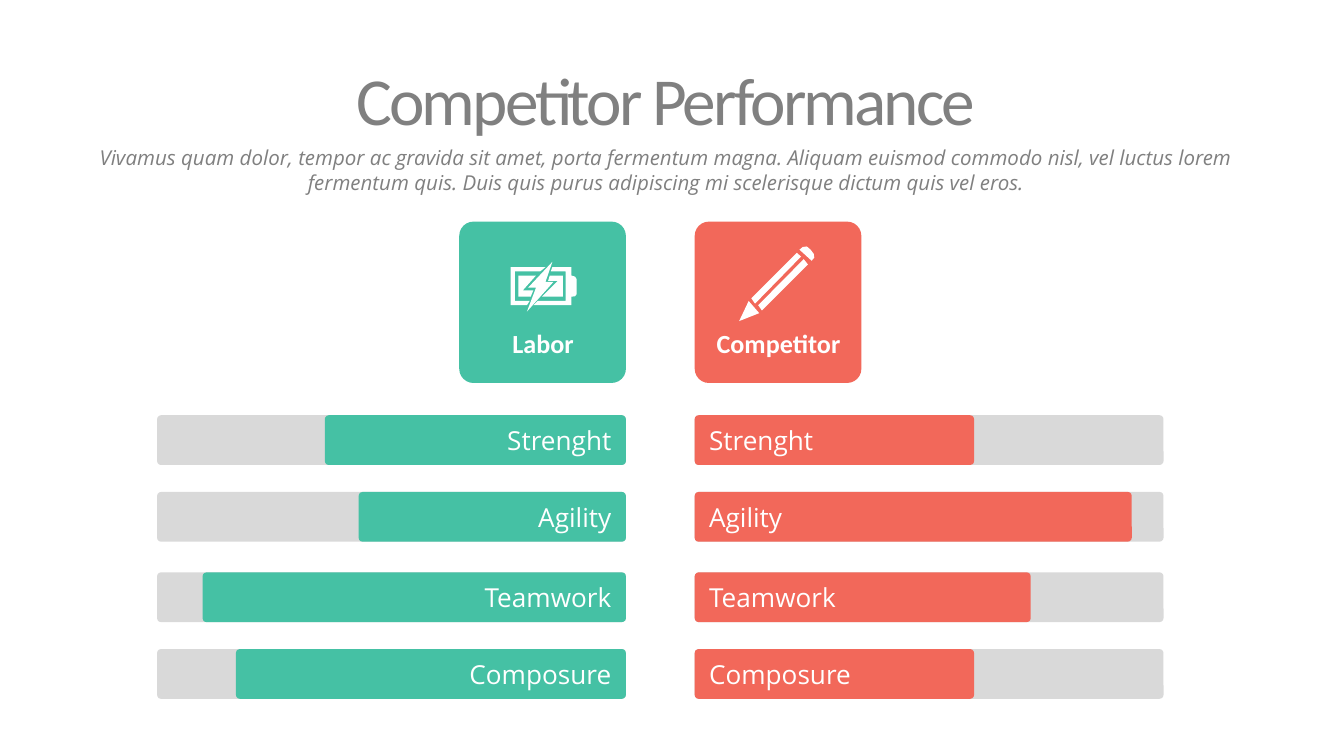
import pptx
import pptx.util
import pptx.dml.color
import pptx.enum.shapes
import pptx.enum.text

Cm, Pt = pptx.util.Cm, pptx.util.Pt
RGBColor = pptx.dml.color.RGBColor
ALIGN = pptx.enum.text.PP_ALIGN
MIDDLE = pptx.enum.text.MSO_ANCHOR.MIDDLE

GREEN = RGBColor(0x45, 0xC1, 0xA4)
CORAL = RGBColor(0xF2, 0x68, 0x5A)
TRACK = RGBColor(0xD9, 0xD9, 0xD9)
GRAY = RGBColor(0x80, 0x80, 0x80)
WHITE = RGBColor(0xFF, 0xFF, 0xFF)

deck = pptx.Presentation()
deck.slide_width, deck.slide_height = Cm(25.4), Cm(14.29)
page = deck.slides.add_slide(deck.slide_layouts[6])


def add_block(left, top, width, height, color, rounding):
    block = page.shapes.add_shape(
        pptx.enum.shapes.MSO_SHAPE.ROUNDED_RECTANGLE,
        Cm(left), Cm(top), Cm(width), Cm(height))
    block.adjustments[0] = rounding
    block.shadow.inherit = False
    block.fill.solid()
    block.fill.fore_color.rgb = color
    block.line.fill.background()
    return block


def write(shape, text, font, size, color, align):
    para = shape.text_frame.paragraphs[0]
    para.alignment = align
    para.font.name, para.font.size = font, Pt(size)
    para.font.color.rgb = color
    span = para.add_run()
    span.text = text
    return para


# Heading and introduction
title = page.shapes.add_textbox(Cm(6.58), Cm(1.02), Cm(12.01), Cm(1.68))
intro = page.shapes.add_textbox(Cm(1.7), Cm(2.67), Cm(21.79), Cm(1.07))
for box in (title, intro):
    frame = box.text_frame
    frame.margin_left = frame.margin_right = Cm(0.13)
    frame.margin_top = frame.margin_bottom = Cm(0.08)
    frame.auto_size = pptx.enum.text.MSO_AUTO_SIZE.SHAPE_TO_FIT_TEXT
title.text_frame.word_wrap = False
intro.text_frame.word_wrap = True
intro.text_frame.vertical_anchor = MIDDLE
para = write(title, "Competitor Performance", "Calibri", 36, GRAY, ALIGN.CENTER)
para.runs[0]._r.get_or_add_rPr().set("spc", "-150")
para = write(
    intro,
    "Vivamus quam dolor, tempor ac gravida sit amet, porta fermentum magna. "
    "Aliquam euismod commodo nisl, vel luctus lorem fermentum quis. "
    "Duis quis purus adipiscing mi scelerisque dictum quis vel eros.",
    "Open Sans", 11, GRAY, ALIGN.CENTER)
para.font.italic = True

# Icon outlines, in hundredths of a centimetre
battery = [
    [(973, 569), (973, 513), (1021, 513), (1031, 505), (965, 505), (965, 577),
     (996, 577), (1001, 569)],
    [(1080, 521), (1080, 505), (1044, 505), (1041, 513), (1069, 513),
     (1069, 569), (1016, 569), (1008, 577), (1080, 577), (1080, 561),
     (1087, 560), (1090, 556), (1090, 528), (1087, 523)],
    [(980, 521), (980, 561), (1003, 561), (1008, 549), (988, 549), (1013, 521)],
    [(1054, 531), (1024, 561), (1064, 561), (1064, 521), (1039, 521), (1036, 531)],
    [(1031, 533), (1044, 495), (998, 544), (1013, 544), (996, 589), (1046, 533)],
]
pencil = [
    [(1415, 569), (1397, 607), (1435, 592)],
    [(1506, 478), (1420, 564), (1427, 574), (1514, 485)],
    [(1519, 490), (1433, 577), (1440, 587), (1527, 500)],
    [(1511, 472), (1517, 467), (1525, 466), (1532, 472), (1538, 480),
     (1539, 487), (1534, 493)],
]

# One side per team: card, icon and score bars growing from the centre gap
CARD_WIDTH, TRACK_WIDTH, BAR_HEIGHT = 3.15, 8.86, 0.94
LEFT_EDGE, RIGHT_EDGE = 11.83, 13.13
skills = [("Strenght", 7.85), ("Agility", 9.3), ("Teamwork", 10.82), ("Composure", 12.27)]
teams = [
    ("Labor", GREEN, battery, True, [5.69, 5.05, 8.0, 7.37]),
    ("Competitor", CORAL, pencil, False, [5.28, 8.26, 6.35, 5.28]),
]
for team, color, icon, mirrored, scores in teams:
    card_left = LEFT_EDGE - CARD_WIDTH if mirrored else RIGHT_EDGE
    add_block(card_left, 4.19, CARD_WIDTH, 3.05, color, 0.088)
    label = page.shapes.add_textbox(Cm(card_left + 0.1), Cm(6.07), Cm(2.97), Cm(0.86))
    label.text_frame.word_wrap = True
    write(label, team, "Calibri", 14, WHITE, ALIGN.CENTER).font.bold = True

    group = page.shapes.add_group_shape()
    for outline in icon:
        builder = group.shapes.build_freeform(*outline[0], scale=Cm(0.01))
        builder.add_line_segments(outline[1:], close=True)
        part = builder.convert_to_shape()
        part.shadow.inherit = False
        part.fill.solid()
        part.fill.fore_color.rgb = WHITE
        part.line.fill.background()

    for (skill, top), score in zip(skills, scores):
        for width, fill in ((TRACK_WIDTH, TRACK), (score, color)):
            left = LEFT_EDGE - width if mirrored else RIGHT_EDGE
            bar = add_block(left, top, width, BAR_HEIGHT, fill, 0.078)
        bar.text_frame.vertical_anchor = MIDDLE
        write(bar, skill, "Open Sans", 14, WHITE, ALIGN.RIGHT if mirrored else ALIGN.LEFT)

deck.save("out.pptx")
